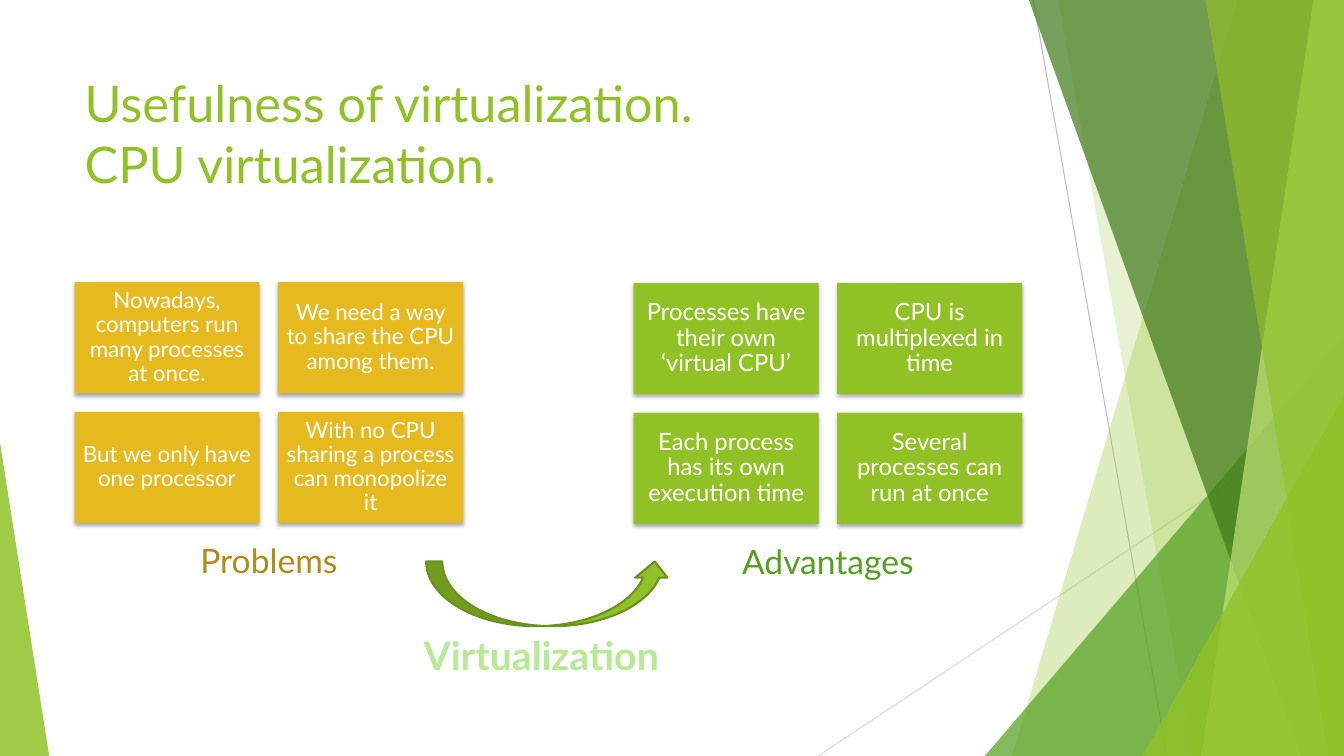
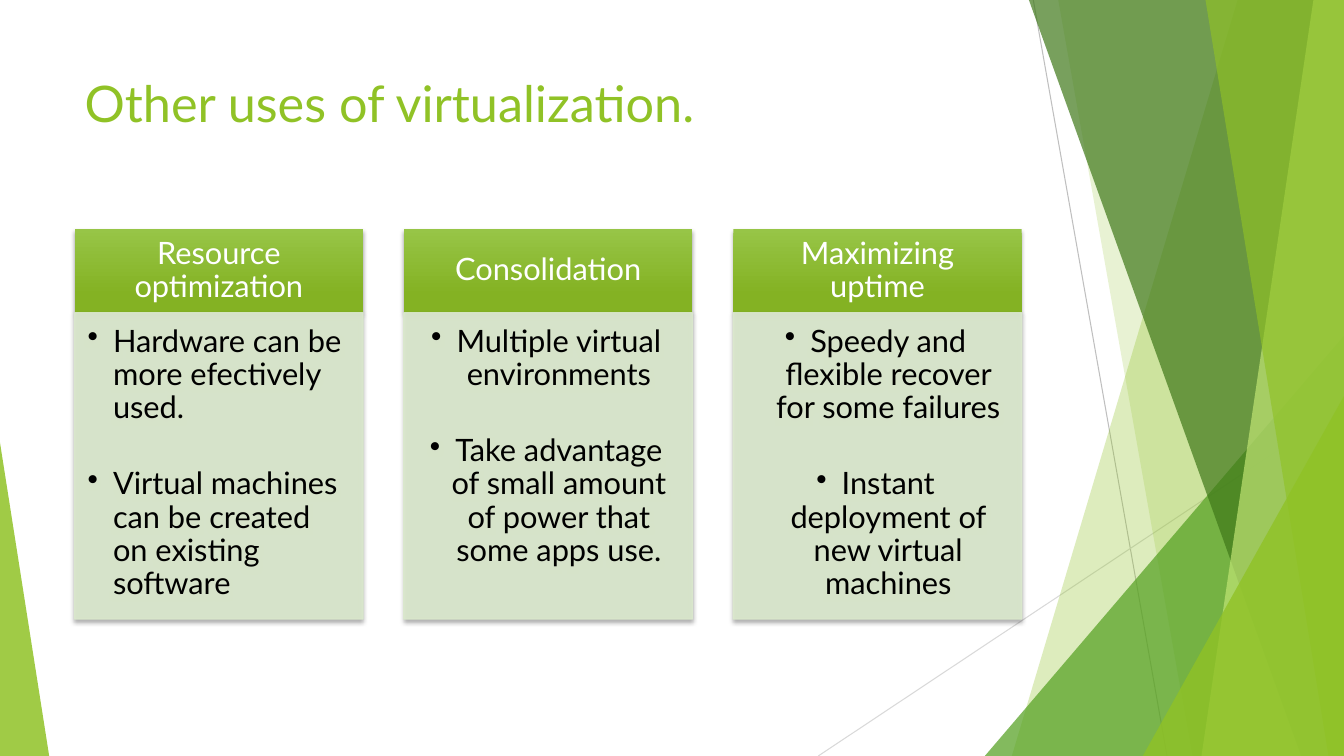
from dataclasses import dataclass

from lxml.etree import SubElement
from pptx import Presentation
from pptx.dml.color import RGBColor
from pptx.enum.shapes import MSO_CONNECTOR as LINE, MSO_SHAPE as SHAPE
from pptx.enum.text import MSO_ANCHOR as ANCHOR, PP_ALIGN as ALIGN
from pptx.oxml.ns import qn
from pptx.util import Cm, Pt


@dataclass(frozen=True)
class Theme:
    font: str = "Lato"
    green: str = "90C226"
    leaf: str = "54A021"
    forest: str = "3F7819"
    lime: str = "C0E474"
    olive: str = "6B901C"
    mint: str = "B7E996"
    pale: str = "DBE9CD"
    gold: str = "E6B91E"
    bronze: str = "AF8C14"
    header_top: str = "97C547"
    header_bottom: str = "84B223"
    grey: str = "BFBFBF"
    light_grey: str = "D9D9D9"
    white: str = "FFFFFF"
    black: str = "000000"
    title: int = 36
    big: int = 28
    caption: int = 24
    column: int = 22


T = Theme()
WIDTH, HEIGHT = 33.87, 19.05
LEFT, CONTENT_WIDTH = 1.88, 23.87


def rgb(colour):
    return RGBColor.from_string(colour)


def add(parent, tag, **attrs):
    return SubElement(parent, qn(tag), {k: str(v) for k, v in attrs.items()})


def add_colour(parent, colour):
    return add(add(parent, "a:solidFill"), "a:srgbClr", val=colour)


def paint(sp, colour, alpha=100, line=None, line_width=1):
    sp.shadow.inherit = False
    sp.fill.solid()
    sp.fill.fore_color.rgb = rgb(colour)
    if line:
        sp.line.color.rgb = rgb(line)
        sp.line.width = Pt(line_width)
    else:
        sp.line.fill.background()
    if alpha < 100:
        for clr in sp.element.spPr.iter(qn("a:srgbClr")):
            add(clr, "a:alpha", val=alpha * 1000)
    return sp


def add_shadow(sp):
    effects = sp.element.spPr.find(qn("a:effectLst"))
    shadow = add(effects, "a:outerShdw", blurRad=Pt(3), dist=Pt(2),
                 dir=90 * 60000, algn="ctr", rotWithShape=0)
    add(add(shadow, "a:srgbClr", val=T.black), "a:alpha", val=35000)


def add_box(s, box, kind=SHAPE.RECTANGLE):
    return s.shapes.add_shape(kind, *map(Cm, box))


def write(sp, *lines, size, colour, bold=False, align=ALIGN.CENTER,
          anchor=ANCHOR.MIDDLE, insets=(0.25, 0.13, 0.25, 0.13),
          spacing=1.0, after=0, bullet=None, outline=None):
    tf = sp.text_frame
    tf.word_wrap = True
    tf.vertical_anchor = anchor
    tf.margin_left, tf.margin_top, tf.margin_right, tf.margin_bottom = map(Cm, insets)
    for i, line in enumerate(lines):
        p = tf.add_paragraph() if i else tf.paragraphs[0]
        p.alignment, p.line_spacing, p.space_after = align, spacing, Pt(after)
        if bullet:
            pPr = p._p.get_or_add_pPr()
            pPr.set("marL", str(Cm(0.64)))
            pPr.set("indent", str(-Cm(0.64)))
            add(pPr, "a:buChar", char=bullet)
        r = p.add_run()
        r.text = line
        if outline:
            ln = add(r._r.get_or_add_rPr(), "a:ln", w=Pt(1.75))
            add_colour(ln, outline)
        r.font.name, r.font.size, r.font.bold = T.font, Pt(size), bold
        r.font.color.rgb = rgb(colour)


def add_label(s, box, text, **style):
    write(s.shapes.add_textbox(*map(Cm, box)), text, **style)


def add_ray(s, start, end, colour):
    ray = s.shapes.add_connector(LINE.STRAIGHT, *map(Cm, start + end))
    ray.line.color.rgb = rgb(colour)
    ray.line.width = Pt(0.75)
    add(ray.element.spPr, "a:effectLst")


def add_band(s, top_x, bottom_x, colour, alpha):
    outline = s.shapes.build_freeform(Cm(top_x), 0)
    corners = [(WIDTH, 0), (WIDTH, HEIGHT), (bottom_x, HEIGHT)]
    outline.add_line_segments([(Cm(x), Cm(y)) for x, y in corners])
    paint(outline.convert_to_shape(), colour, alpha)


def add_corner(s, left, top, width, apex, colour, alpha):
    sp = add_box(s, (left, top, width, HEIGHT - top), SHAPE.ISOSCELES_TRIANGLE)
    sp.adjustments[0] = apex
    paint(sp, colour, alpha)


def style_title(prs, layout):
    style = prs.slide_master.element.find(".//" + qn("p:titleStyle"))
    level = style.find(qn("a:lvl1pPr"))
    level.set("algn", "l")
    level.remove(level.find(qn("a:defRPr")))
    font = add(level, "a:defRPr", sz=T.title * 100)
    add_colour(font, T.green)
    add(font, "a:latin", typeface=T.font)
    title = layout.placeholders[0]
    title.left, title.top = Cm(LEFT), Cm(1.7)
    title.width, title.height = Cm(CONTENT_WIDTH), Cm(3.66)
    title.text_frame.vertical_anchor = ANCHOR.TOP


def decorate(layout, s):
    add_ray(s, (26.04, 0), (29.41, HEIGHT), T.grey)
    add_ray(s, (WIDTH, 10.24), (20.62, HEIGHT), T.light_grey)
    add_band(s, 31.19, 25.5, T.green, 30)
    add_band(s, 26.67, 30.05, T.green, 20)
    add_corner(s, 24.82, 8.46, 9.05, 1, T.leaf, 72)
    add_band(s, 25.93, 32.79, T.forest, 70)
    add_band(s, 33.1, 30.28, T.lime, 70)
    add_band(s, 30.38, 33.48, T.green, 65)
    add_corner(s, 28.8, 9.98, 5.07, 1, T.green, 80)
    add_corner(s, 0, 11.15, 1.24, 0, T.green, 85)
    parts = [sp for sp in s.shapes if not sp.is_placeholder]
    for i, sp in enumerate(parts, start=2):
        layout.shapes.element.insert(i, sp.element)


def add_panel(s, box, caption, tiles, fill, caption_colour, size):
    left, top, width, height = box
    gap = 0.47
    tile_w, tile_h = (width - gap) / 2, (height - gap) / 2
    for i, text in enumerate(tiles):
        row, col = divmod(i, 2)
        sp = add_box(s, (left + col * (tile_w + gap), top + row * (tile_h + gap),
                         tile_w, tile_h))
        add_shadow(paint(sp, fill))
        write(sp, text, size=size, colour=T.white, spacing=0.9, insets=(0.18,) * 4)
    add_label(s, (left, top + height + 0.3, width, 1.27), caption,
              size=T.caption, colour=caption_colour)


def add_bridge(s, box, text):
    left, top, width, height = box
    arrow_h = 1.63
    arrow = add_box(s, (left + 0.53, top, 6.17, arrow_h), SHAPE.CURVED_UP_ARROW)
    paint(arrow, T.green, line=T.olive, line_width=1.5)
    add_label(s, (left, top + arrow_h, width, height - arrow_h), text,
              size=T.big, colour=T.mint, bold=True, outline=T.leaf)


def add_column(s, box, heading, items, align):
    left, top, width, height = box
    head_h = 2.11
    head = paint(add_box(s, (left, top, width, head_h)), T.green)
    head.fill.gradient()
    head.fill.gradient_angle = 270
    stops = zip(head.fill.gradient_stops, (0, 0.78), (T.header_top, T.header_bottom))
    for stop, position, colour in stops:
        stop.position, stop.color.rgb = position, rgb(colour)
    add_shadow(head)
    write(head, heading, size=T.column, colour=T.white, spacing=0.9,
          insets=(0.43, 0.25, 0.43, 0.25))
    body = add_box(s, (left, top + head_h, width, height - head_h))
    add_shadow(paint(body, T.pale, 90, line=T.pale))
    write(body, *items, size=T.column, colour=T.black, align=align,
          anchor=ANCHOR.TOP, insets=(0.33, 0.33, 0.43, 0.48),
          spacing=0.9, after=30.5, bullet="•")


def fill_usefulness(s):
    s.shapes.title.text = "Usefulness of virtualization.\vCPU virtualization."
    add_panel(s, (LEFT, 7.11, 9.79, 6.07), "Problems", [
        "Nowadays, computers run many processes at once.",
        "We need a way to share the CPU among them.",
        "But we only have one processor",
        "With no CPU sharing a process can monopolize it",
    ], T.gold, T.bronze, 16)
    add_bridge(s, (10.21, 14.15, 6.86, 3.07), "Virtualization")
    add_panel(s, (15.97, 7.13, 9.79, 6.07), "Advantages", [
        "Processes have their own ‘virtual CPU’",
        "CPU is multiplexed in time",
        "Each process has its own execution time",
        "Several processes can run at once",
    ], T.green, T.leaf, 17)


def fill_other_uses(s):
    s.shapes.title.text = "Other uses of virtualization."
    columns = [
        ("Resource optimization",
         ["Hardware can be more efectively used.",
          "Virtual machines can be created on existing software"], ALIGN.LEFT),
        ("Consolidation",
         ["Multiple virtual environments",
          "Take advantage of small amount of power that some apps use."], ALIGN.CENTER),
        ("Maximizing uptime",
         ["Speedy and flexible recover for some failures",
          "Instant deployment of new virtual machines"], ALIGN.CENTER),
    ]
    gap = 1.03
    width = (CONTENT_WIDTH - gap * (len(columns) - 1)) / len(columns)
    for i, column in enumerate(columns):
        add_column(s, (LEFT + i * (width + gap), 5.77, width, 9.83), *column)


def main():
    prs = Presentation()
    prs.slide_width, prs.slide_height = Cm(WIDTH), Cm(HEIGHT)
    layout = prs.slide_layouts[5]
    style_title(prs, layout)
    usefulness, other_uses = [prs.slides.add_slide(layout) for _ in range(2)]
    decorate(layout, usefulness)
    fill_usefulness(usefulness)
    fill_other_uses(other_uses)
    prs.save("out.pptx")


if __name__ == "__main__":
    main()
